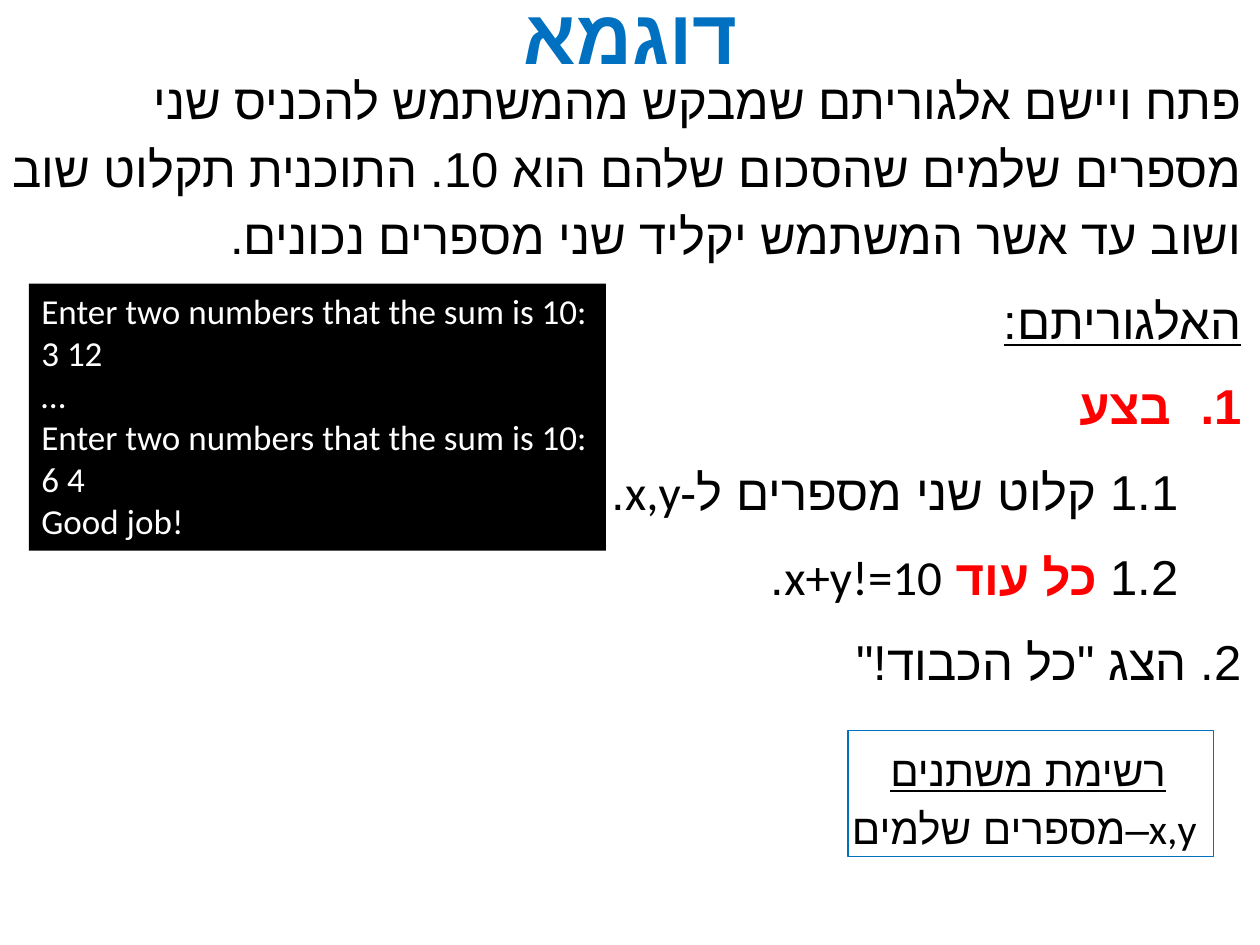
from dataclasses import dataclass

from lxml import etree
from pptx import Presentation
from pptx.dml.color import RGBColor
from pptx.enum.shapes import MSO_SHAPE
from pptx.enum.text import MSO_ANCHOR, MSO_AUTO_SIZE, PP_ALIGN
from pptx.oxml.ns import qn
from pptx.util import Inches, Pt

CENTER, LEFT, RIGHT = PP_ALIGN.CENTER, PP_ALIGN.LEFT, PP_ALIGN.RIGHT
MIDDLE, TOP = MSO_ANCHOR.MIDDLE, MSO_ANCHOR.TOP
FIT_SHAPE = MSO_AUTO_SIZE.SHAPE_TO_FIT_TEXT
RECTANGLE = MSO_SHAPE.RECTANGLE

COLORS = {"blue": "0070C0", "red": "FF0000", "black": "000000", "white": "FFFFFF"}


@dataclass
class Span:
    text: str
    color: str = "black"
    bold: bool = False
    latin: str = "Calibri"


@dataclass
class Para:
    spans: list[Span]
    size: float
    align: PP_ALIGN = RIGHT
    rtl: bool = True
    underline: bool = False
    line_spacing: float = 1.15
    space_after: float = 0
    level: int = 0
    margin: float = 0
    indent: float = 0
    number: bool = False


@dataclass
class Box:
    left: float
    top: float
    width: float
    height: float
    paras: list[Para]
    anchor: MSO_ANCHOR = TOP
    left_inset: float = 0.1
    right_inset: float = 0.1
    end_inset: float = 0.05
    fill: str | None = None
    line: str | None = None


def rgb(name: str) -> RGBColor:
    return RGBColor.from_string(COLORS[name])


def style_font(font, span: Span, para: Para) -> None:
    font.size = Pt(para.size)
    font.bold = span.bold
    font.underline = para.underline
    font.color.rgb = rgb(span.color)
    font.name = span.latin


def set_complex_font(properties) -> None:
    etree.SubElement(properties, qn("a:cs")).set("typeface", "Arial")


def write_para(paragraph, para: Para) -> None:
    paragraph.alignment = para.align
    paragraph.line_spacing = para.line_spacing
    paragraph.space_after = Pt(para.space_after)
    paragraph.level = para.level
    properties = paragraph._p.get_or_add_pPr()
    properties.set("rtl", str(int(para.rtl)))
    properties.set("marL", str(Inches(para.margin)))
    properties.set("indent", str(Inches(para.indent)))
    if para.number:
        etree.SubElement(properties, qn("a:buFont")).set("typeface", "Arial")
        etree.SubElement(properties, qn("a:buAutoNum")).set("type", "arabicPeriod")
    looks = {(span.color, span.bold, span.latin) for span in para.spans}
    uniform = len(looks) == 1
    if uniform:
        style_font(paragraph.font, para.spans[0], para)
        set_complex_font(properties.find(qn("a:defRPr")))
    for span in para.spans:
        run = paragraph.add_run()
        run.text = span.text
        if not uniform:
            style_font(run.font, span, para)
            set_complex_font(run._r.get_or_add_rPr())


def draw_box(page, box: Box) -> None:
    place = [Inches(n) for n in (box.left, box.top, box.width, box.height)]
    if box.fill or box.line:
        shape = page.shapes.add_shape(RECTANGLE, *place)
        shape.shadow.inherit = False
        if box.fill:
            shape.fill.solid()
            shape.fill.fore_color.rgb = rgb(box.fill)
        else:
            shape.fill.background()
        if box.line:
            shape.line.color.rgb = rgb(box.line)
            shape.line.width = Pt(0.75)
        else:
            shape.line.fill.background()
    else:
        shape = page.shapes.add_textbox(*place)
    frame = shape.text_frame
    frame.word_wrap = True
    frame.auto_size = FIT_SHAPE
    frame.vertical_anchor = box.anchor
    frame.margin_left = Inches(box.left_inset)
    frame.margin_right = Inches(box.right_inset)
    frame.margin_top = frame.margin_bottom = Inches(box.end_inset)
    for index, para in enumerate(box.paras):
        write_para(frame.paragraphs[0] if index == 0 else frame.add_paragraph(), para)


def body(*spans: Span, **options) -> Para:
    return Para(list(spans), 28, space_after=10, **options)


TASK = (
    "פתח ויישם אלגוריתם שמבקש מהמשתמש להכניס שני מספרים שלמים שהסכום שלהם הוא 10. "
    "התוכנית תקלוט שוב ושוב עד אשר המשתמש יקליד שני מספרים נכונים."
)
PROMPT = "Enter two numbers that the sum is 10:"
CONSOLE = [PROMPT, "3 12", "…", PROMPT, "6 4", "Good job!"]

BOXES = [
    Box(0.21, -0.14, 9.59, 0.82,
        [Para([Span("דוגמא", "blue", True)], 44, CENTER, line_spacing=1.0)],
        anchor=MIDDLE, left_inset=0.07, right_inset=0.07, end_inset=0.04),
    Box(6.73, 5.8, 2.9, 1, [
        Para([Span("רשימת משתנים")], 24, CENTER, underline=True),
        Para([Span(" x,y"), Span("–מספרים שלמים", latin="Arial")], 24),
    ], left_inset=0, right_inset=0.04, line="blue"),
    Box(0.04, 0.44, 9.91, 5.09, [
        body(Span(TASK)),
        body(Span("האלגוריתם:"), underline=True),
        body(Span("בצע", "red", True), margin=0.56, indent=-0.56, number=True),
        body(Span("1.1 קלוט שני מספרים ל-x,y."), level=1, margin=0.5),
        body(Span("1.2 "), Span("כל עוד ", "red", True), Span("x+y!=10."),
             level=1, margin=0.5),
        body(Span('2. הצג "כל הכבוד!"')),
    ], left_inset=0),
    Box(0.23, 2.25, 4.58, 2.12,
        [Para([Span(text, "white")], 20, LEFT, rtl=False, line_spacing=1.0)
         for text in CONSOLE],
        fill="black"),
]


def main() -> None:
    deck = Presentation()
    deck.slide_width, deck.slide_height = Inches(10), Inches(7.5)
    page = deck.slides.add_slide(deck.slide_layouts[6])
    for box in BOXES:
        draw_box(page, box)
    deck.save("out.pptx")


if __name__ == "__main__":
    main()
